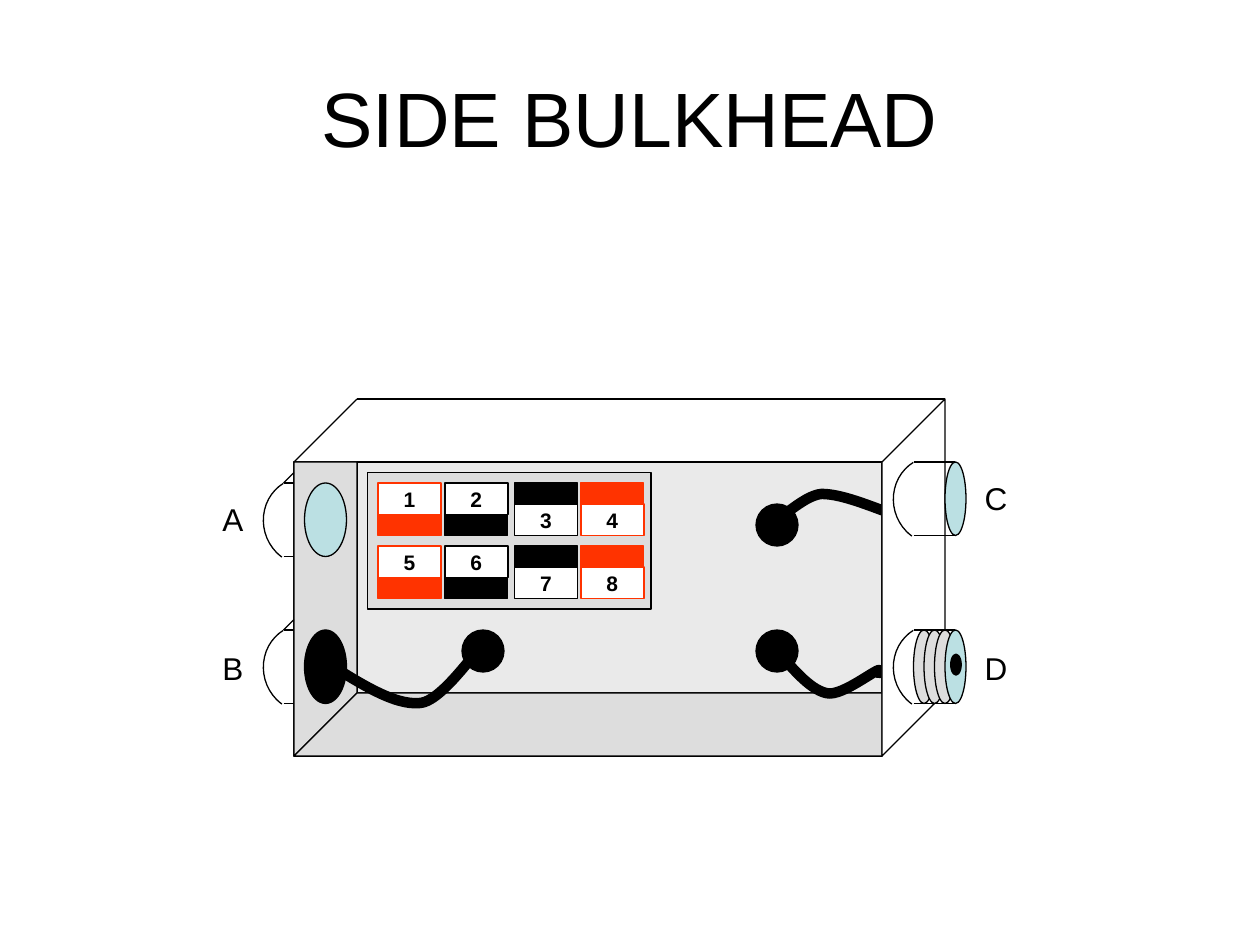
from lxml import etree
from pptx import Presentation
from pptx.dml.color import RGBColor
from pptx.enum.shapes import MSO_CONNECTOR, MSO_SHAPE
from pptx.enum.text import MSO_ANCHOR, MSO_AUTO_SIZE, PP_ALIGN
from pptx.oxml.ns import qn
from pptx.util import Inches, Pt

COLORS = {
    "black": "000000", "white": "FFFFFF", "red": "FF3300", "back": "EAEAEA",
    "wall": "DDDDDD", "glass": "BBE0E3",
}
# The drawing is laid out on a grid of twelve units to the inch.
GRID = 12
DEPTH = 6
PORT_WIDTH, PORT_HEIGHT, LENS_WIDTH = 4, 7, 2
BALL = 4


def grid(*units):
    return [Inches(unit / GRID) for unit in units]


def color(name):
    return RGBColor.from_string(COLORS[name])


def style(shape, fill=None, line="black", weight=0.75):
    shape.shadow.inherit = False
    if fill:
        shape.fill.solid()
        shape.fill.fore_color.rgb = color(fill)
    else:
        shape.fill.background()
    shape.line.color.rgb = color(line)
    shape.line.width = Pt(weight)
    return shape


def write(shape, text, size, bold=False, align=PP_ALIGN.LEFT, **frame_format):
    frame = shape.text_frame
    frame.text = text
    for name, value in frame_format.items():
        setattr(frame, name, value)
    paragraph = frame.paragraphs[0]
    paragraph.alignment = align
    font = paragraph.runs[0].font
    for name, value in {"name": "Arial", "size": Pt(size), "bold": bold}.items():
        setattr(font, name, value)
    font.color.rgb = color("black")


def add_preset(shapes, kind, box, **format_values):
    return style(shapes.add_shape(kind, *grid(*box)), **format_values)


def add_rectangle(shapes, *box, **format_values):
    return add_preset(shapes, MSO_SHAPE.RECTANGLE, box, **format_values)


def add_oval(shapes, *box, **format_values):
    return add_preset(shapes, MSO_SHAPE.OVAL, box, **format_values)


def add_line(shapes, *ends):
    line = shapes.add_connector(MSO_CONNECTOR.STRAIGHT, *grid(*ends))
    line.line.color.rgb = color("black")
    line.line.width = Pt(0.75)
    etree.SubElement(line._element.spPr, qn("a:effectLst"))


def add_outline(shapes, points, close=True, **format_values):
    """Join points given in grid units."""
    start, *rest = [grid(x, y) for x, y in points]
    builder = shapes.build_freeform(*start)
    builder.add_line_segments(rest, close=close)
    return style(builder.convert_to_shape(), **format_values)


def add_curve(shapes, points, weight, rotation=0):
    """Draw cubic Bezier curves through points given in inches."""
    curve = add_outline(shapes, [(x * GRID, y * GRID) for x, y in points],
                        close=False, weight=weight)
    curve.rotation = rotation
    segments = list(curve._element.iter(qn("a:lnTo")))
    for first in range(0, len(segments), 3):
        bezier = etree.Element(qn("a:cubicBezTo"))
        segments[first].addprevious(bezier)
        for segment in segments[first:first + 3]:
            bezier.append(segment[0])
            segment.getparent().remove(segment)
    curve._element.spPr.find(qn("a:ln")).set("cap", "rnd")


def add_title(slide, text, *box):
    title = slide.shapes.title
    title.left, title.top, title.width, title.height = map(Inches, box)
    write(title, text, 44, align=PP_ALIGN.CENTER,
          vertical_anchor=MSO_ANCHOR.MIDDLE, auto_size=MSO_AUTO_SIZE.NONE)


def add_terminal_panel(slide, left, top, width, height):
    """Two rows of numbered terminals; the right half has its bars on top."""
    shapes = slide.shapes.add_group_shape().shapes
    add_rectangle(shapes, left, top, width, height, fill="wall")
    columns = [(1, "red"), (7.36, "black"), (14, "black"), (20.32, "red")]
    cell_width, label_height, bar_height = 6, 3, 2
    for column, (offset, accent) in enumerate(columns):
        bar_on_top = column >= 2
        for row in range(2):
            x, y = left + offset, top + 1 + row * 6
            label_top = y + bar_height if bar_on_top else y
            bar_top = y if bar_on_top else y + label_height
            label = add_rectangle(shapes, x, label_top, cell_width, label_height,
                                  fill="white", line=accent, weight=1)
            write(label, str(row * 4 + column + 1), 12, bold=True,
                  align=PP_ALIGN.CENTER, vertical_anchor=MSO_ANCHOR.MIDDLE,
                  word_wrap=False)
            add_rectangle(shapes, x, bar_top, cell_width, bar_height,
                          fill=accent, line=accent)


def add_housing(slide, left, top, width, height):
    """Draw the top edges, the front frame, the left wall and the floor."""
    shapes = slide.shapes
    inner, front = left + DEPTH, top + DEPTH
    right, bottom = left + width - DEPTH, top + height
    floor = bottom - DEPTH
    add_line(shapes, left, front, inner, top)
    add_line(shapes, inner, top, left + width, top)
    add_rectangle(shapes, left, front, right - left, bottom - front)
    add_outline(shapes, [(inner, front), (left, front), (left, bottom), (inner, floor)],
                fill="wall")
    add_outline(shapes, [(inner, floor), (right, floor), (right, bottom), (left, bottom)],
                fill="wall")


def add_right_wall(slide, left, top, height):
    right, bottom = left + DEPTH, top + height
    add_outline(slide.shapes, [(left, bottom), (left, top + DEPTH), (right, top),
                               (right, bottom - DEPTH)], fill="white")


def add_cap(shapes, left, top, length):
    """Draw a domed cap with straight edges of the given length."""
    for y in (top, top + PORT_HEIGHT):
        add_line(shapes, left, y, left + length, y)
    dome = add_preset(shapes, MSO_SHAPE.ARC, (left - 1.9, top - 0.55, 8, 8.4))
    dome.rotation = 344.5
    for index, degrees in enumerate((138.9, 255.2)):
        dome.adjustments[index] = degrees * 0.6


def add_label(shapes, text, left, top, width):
    label = shapes.add_textbox(*grid(left, top, width, 4.8))
    write(label, text, 18, word_wrap=False, auto_size=MSO_AUTO_SIZE.SHAPE_TO_FIT_TEXT)


def add_left_port(slide, text, left, top, fill, label_top):
    shapes = slide.shapes
    add_oval(shapes, left + 2, top, PORT_WIDTH, PORT_HEIGHT, fill=fill)
    add_cap(shapes, left, top, 1)
    add_line(shapes, left, top, left + 1, top - 1)
    add_label(shapes, text, left - 7, label_top, 4.32)


def add_right_port(slide, text, left, top, label_top, threaded=False):
    shapes = slide.shapes
    add_cap(shapes, left, top, 4)
    if threaded:
        for ring in range(3):
            add_oval(shapes, left + ring, top, LENS_WIDTH, PORT_HEIGHT, fill="wall")
    add_oval(shapes, left + 3, top, LENS_WIDTH, PORT_HEIGHT, fill="glass")
    if threaded:
        add_oval(shapes, left + 3.55, top + 2.3, 1, 2, fill="black")
    add_label(shapes, text, left + 5.6, label_top, 4.56)


def add_cable(slide, ball_left, ball_top, points, rotation=0):
    add_curve(slide.shapes, points, 6, rotation)
    add_oval(slide.shapes, ball_left, ball_top, BALL, BALL, fill="black")


def main():
    presentation = Presentation()
    presentation.slide_width, presentation.slide_height = Inches(10), Inches(7.5)
    slide = presentation.slides.add_slide(presentation.slide_layouts[5])

    add_title(slide, "SIDE BULKHEAD", 0.5, 0.3, 9, 1.25)
    add_rectangle(slide.shapes, 34, 44, 50, 22, fill="back")
    add_terminal_panel(slide, 35, 45, 27, 13)
    add_housing(slide, 28, 38, 62, 34)
    add_left_port(slide, "A", 27, 46, "glass", 47)
    add_left_port(slide, "B", 27, 60, "black", 61.2)

    add_cable(slide, 44, 60, [(2.58, 5.25), (2.85, 5.42), (3.13, 5.6), (3.33, 5.58),
                              (3.54, 5.57), (3.89, 4.97), (3.83, 5.17)])
    add_cable(slide, 72, 60, [(6.11, 5.27), (6.3, 5.38), (6.48, 5.5), (6.62, 5.49),
                              (6.76, 5.49), (7, 5.08), (6.97, 5.21)], rotation=18)
    add_cable(slide, 72, 48, [(6.14, 4.04), (6.33, 4.11), (6.51, 4.18), (6.65, 4.18),
                              (6.8, 4.17), (7.03, 3.92), (7, 4)], rotation=180)

    add_right_wall(slide, 84, 38, 34)
    add_right_port(slide, "C", 87, 44, 45)
    add_right_port(slide, "D", 87, 60, 61.2, threaded=True)
    presentation.save("out.pptx")


if __name__ == "__main__":
    main()
